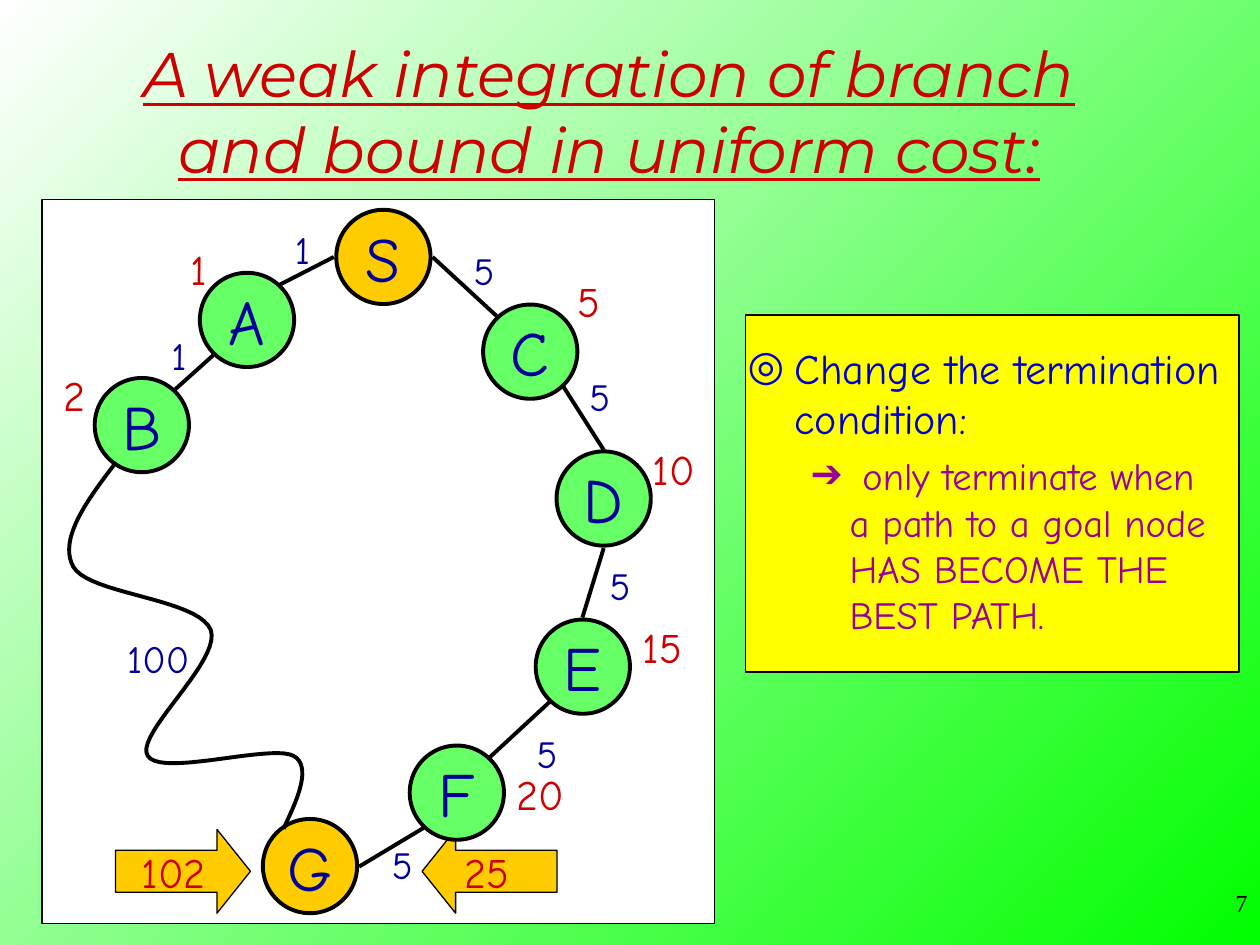
from lxml.etree import SubElement
from pptx import Presentation
from pptx.dml.color import RGBColor
from pptx.enum.shapes import MSO_CONNECTOR as Connector, MSO_SHAPE as Preset
from pptx.enum.text import MSO_ANCHOR as Anchor, PP_ALIGN as Align
from pptx.oxml.ns import qn
from pptx.util import Cm, Pt

BLACK = RGBColor(0x00, 0x00, 0x00)
WHITE = RGBColor(0xFF, 0xFF, 0xFF)
GREEN = RGBColor(0x00, 0xFF, 0x00)
LIGHT_GREEN = RGBColor(0x66, 0xFF, 0x66)
GOLD = RGBColor(0xFF, 0xCC, 0x00)
YELLOW = RGBColor(0xFF, 0xFF, 0x00)
RED = RGBColor(0xCC, 0x00, 0x00)
NAVY = RGBColor(0x00, 0x00, 0x99)
BLUE = RGBColor(0x00, 0x00, 0xCC)
PURPLE = RGBColor(0x99, 0x00, 0x99)

HAND_FONT = "Comic Neue"
NODE_SIZE = 1.9
THIN, THICK = 0.75, 2.25

NODES = {
    "S": (6.88, 1.16), "A": (4.13, 2.43), "B": (2.01, 4.55), "C": (9.84, 3.07),
    "D": (11.32, 6.03), "E": (10.9, 9.42), "F": (8.36, 11.96), "G": (5.4, 13.44),
}
EDGES = [
    (5.88, 1.16, 4.79, 1.72), (3.45, 3.14, 2.68, 3.83), (7.87, 1.16, 9.16, 2.35),
    (10.51, 3.78, 11.32, 5.05), (11.32, 7.03, 10.89, 8.43),
    (10.23, 10.13, 9.03, 11.24), (7.69, 12.67, 6.39, 13.45),
]
EDGE_COSTS = [
    ("1", 5.25, 1.0), ("1", 2.76, 3.13), ("5", 8.91, 1.43), ("5", 11.24, 3.97),
    ("5", 11.65, 7.78), ("5", 10.18, 11.16), ("5", 7.26, 13.39), ("100", 2.34, 9.25),
]
PATH_COSTS = [
    ("1", 3.15, 1.39), ("2", 0.65, 3.93), ("5", 11.02, 2.04), ("10", 12.73, 5.43),
    ("15", 12.5, 9.01), ("20", 10.04, 11.98), ("102", 2.65, 13.56), ("25", 8.97, 13.56),
]
LONG_PATH = [
    (1.49, 5.3), (0.91, 6.06), (0.32, 6.85), (0.63, 7.41), (0.96, 7.97),
    (3.14, 8.04), (3.4, 8.68), (3.62, 9.31), (1.85, 10.79), (2.13, 11.22),
    (2.4, 11.65), (4.62, 10.97), (5.07, 11.22), (5.53, 11.47), (4.95, 12.46),
    (4.87, 12.69),
]


def write_text(paragraph, text, size, color, font=HAND_FONT, align=Align.LEFT,
               italic=False, underline=False, before=0, bullet=None, margin=0, hanging=0):
    if bullet:
        properties = paragraph._p.get_or_add_pPr()
        properties.set("marL", str(Cm(margin)))
        properties.set("indent", str(-Cm(hanging)))
        bullet_color = SubElement(properties, qn("a:buClr"))
        SubElement(bullet_color, qn("a:srgbClr")).set("val", str(color))
        SubElement(properties, qn("a:buFont")).set("typeface", font)
        SubElement(properties, qn("a:buChar")).set("char", bullet)
    paragraph.alignment = align
    paragraph.space_before = Pt(before)
    run = paragraph.add_run()
    run.text = text
    run.font.name = font
    run.font.size = Pt(size)
    run.font.color.rgb = color
    run.font.italic = italic
    run.font.underline = underline


def add_text(slide, box, text, anchor=Anchor.TOP, wrap=True, **text_format):
    frame = slide.shapes.add_textbox(*map(Cm, box)).text_frame
    frame.word_wrap = wrap
    frame.vertical_anchor = anchor
    write_text(frame.paragraphs[0], text, **text_format)
    return frame


def add_shape(slide, preset, box, fill, line_width=THIN):
    shape = slide.shapes.add_shape(preset, *map(Cm, box))
    shape.shadow.inherit = False
    shape.fill.solid()
    shape.fill.fore_color.rgb = fill
    shape.line.color.rgb = BLACK
    shape.line.width = Pt(line_width)
    return shape


def add_node(slide, name, x, y):
    box = (x - NODE_SIZE / 2, y - NODE_SIZE / 2, NODE_SIZE, NODE_SIZE)
    node = add_shape(slide, Preset.OVAL, box, GOLD if name in "SG" else LIGHT_GREEN, THICK)
    frame = node.text_frame
    frame.word_wrap = False
    frame.vertical_anchor = Anchor.MIDDLE
    write_text(frame.paragraphs[0], name, size=36, color=NAVY, align=Align.CENTER)


def add_edge(slide, x1, y1, x2, y2):
    edge = slide.shapes.add_connector(Connector.STRAIGHT, Cm(x1), Cm(y1), Cm(x2), Cm(y2))
    edge.line.color.rgb = BLACK
    edge.line.width = Pt(THICK)
    SubElement(edge._element.spPr, qn("a:effectLst"))


def bezier_points(points, steps=20):
    for start in range(0, len(points) - 1, 3):
        segment = points[start:start + 4]
        for step in range(1, steps + 1):
            t = step / steps
            weights = ((1 - t) ** 3, 3 * t * (1 - t) ** 2, 3 * t * t * (1 - t), t ** 3)
            yield tuple(sum(w * point[axis] for w, point in zip(weights, segment))
                        for axis in (0, 1))


def add_curve(slide, points):
    controls = [(Cm(x), Cm(y)) for x, y in points]
    builder = slide.shapes.build_freeform(*controls[0])
    builder.add_line_segments(list(bezier_points(controls)), close=False)
    curve = builder.convert_to_shape()
    curve.shadow.inherit = False
    curve.fill.background()
    curve.line.color.rgb = BLACK
    curve.line.width = Pt(THICK)


def add_cost(slide, text, x, y, size, color):
    width, height = 0.7 + 0.45 * len(text), 1.24
    add_text(slide, (x - width / 2, y - height / 2, width, height), text, wrap=False,
             anchor=Anchor.MIDDLE, size=size, color=color, align=Align.CENTER)


def add_graph(slide, box):
    left, top = box[:2]
    add_shape(slide, Preset.RECTANGLE, box, WHITE)
    for preset, x in ((Preset.RIGHT_ARROW, 1.48), (Preset.LEFT_ARROW, 7.66)):
        arrow = add_shape(slide, preset, (left + x, top + 12.7, 2.72, 1.69), GOLD)
        arrow.adjustments[0], arrow.adjustments[1] = 0.5, 0.4
    for name, (x, y) in NODES.items():
        add_node(slide, name, left + x, top + y)
    add_curve(slide, [(left + x, top + y) for x, y in LONG_PATH])
    for x1, y1, x2, y2 in EDGES:
        add_edge(slide, left + x1, top + y1, left + x2, top + y2)
    for costs, size, color in ((EDGE_COSTS, 22, NAVY), (PATH_COSTS, 24, RED)):
        for text, x, y in costs:
            add_cost(slide, text, left + x, top + y, size, color)


def add_rule(slide, box):
    left, top, width, height = box
    add_shape(slide, Preset.RECTANGLE, box, YELLOW)
    frame = add_text(slide, (left - 0.21, top + 0.42, width + 0.21, height - 0.21),
                     "Change the termination condition:", size=24, color=BLUE,
                     bullet="◎", margin=0.95, hanging=0.95)
    paragraph = frame.add_paragraph()
    paragraph.level = 1
    write_text(paragraph,
               " only terminate when a path to a goal node HAS BECOME THE BEST PATH.",
               size=22, color=PURPLE, before=5.5, bullet="➔", margin=2.06, hanging=0.79)


def add_background(slide):
    fill = slide.background.fill
    fill.gradient()
    fill.gradient_angle = 135
    for stop, color in zip(fill.gradient_stops, (GREEN, WHITE)):
        stop.color.rgb = color


def main():
    presentation = Presentation()
    presentation.slide_width, presentation.slide_height = Cm(25.4), Cm(19.05)
    slide = presentation.slides.add_slide(presentation.slide_layouts[6])
    add_background(slide)
    add_text(slide, (1.48, 0.64, 21.59, 3.18),
             "A weak integration of branch and bound in uniform cost:",
             anchor=Anchor.MIDDLE, size=36, color=RED, font="Montserrat",
             align=Align.CENTER, italic=True, underline=True)
    add_rule(slide, (15.03, 6.35, 9.95, 7.2))
    add_graph(slide, (0.85, 4.02, 13.55, 14.6))
    add_text(slide, (20.12, 17.78, 5.28, 1.27), "7", size=14, color=BLACK,
             font="Times New Roman", align=Align.RIGHT)
    presentation.save("out.pptx")


if __name__ == "__main__":
    main()
